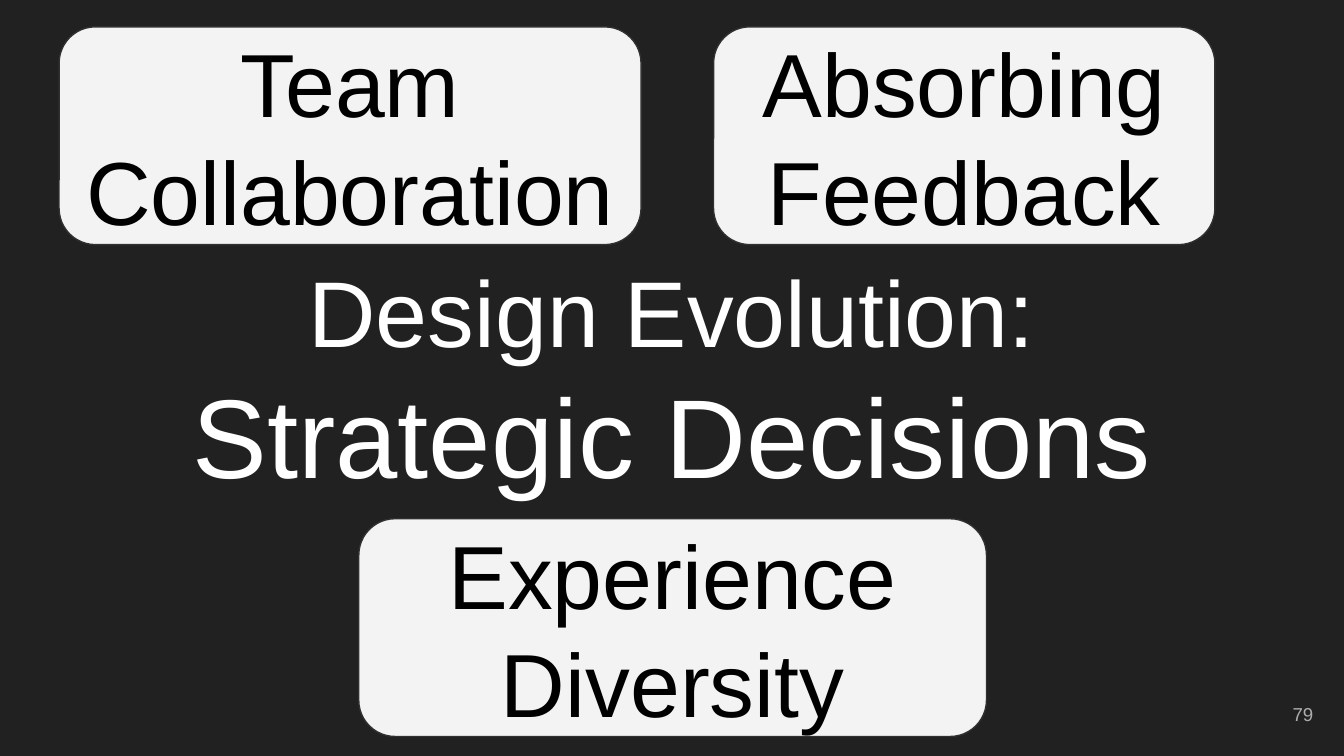
"""Build the slide on strategic decisions in design evolution."""
from pptx import Presentation
from pptx.dml.color import RGBColor
from pptx.enum import shapes, text
from pptx.util import Inches, Pt

HUES = {"back": "212121", "card": "F3F3F3", "edge": "303030",
        "ink": "000000", "light": "FFFFFF", "page": "ADADAD"}
TITLE = [("Design Evolution:", 50), ("Strategic Decisions", 60)]
CARDS = [("Team Collaboration", 0.44, 0.2, 4.33),
         ("Absorbing Feedback", 5.31, 0.2, 3.73),
         ("Experience Diversity", 2.67, 3.86, 4.67)]
PAGE = "79"
WIDE, TALL = 10, 1.62


def hue(name):
    return RGBColor.from_string(HUES[name])


def write(shape, lines, color="ink", align=text.PP_ALIGN.CENTER):
    frame = shape.text_frame
    frame.word_wrap = True
    frame.auto_size = text.MSO_AUTO_SIZE.NONE
    frame.vertical_anchor = text.MSO_ANCHOR.MIDDLE
    frame.margin_left = frame.margin_right = Inches(0.1)
    frame.margin_top = frame.margin_bottom = Inches(0.1)
    for i, (words, size) in enumerate(lines):
        para = frame.add_paragraph() if i else frame.paragraphs[0]
        para.alignment = align
        para.line_spacing = 1.0
        para.space_before = para.space_after = Pt(0)
        run = para.add_run()
        run.text = words
        run.font.name = "Arial"
        run.font.size = Pt(size)
        run.font.color.rgb = hue(color)


def main():
    deck = Presentation()
    deck.slide_width = Inches(WIDE)
    deck.slide_height = Inches(WIDE * 9 / 16)
    slide = deck.slides.add_slide(deck.slide_layouts[5])
    slide.background.fill.solid()
    slide.background.fill.fore_color.rgb = hue("back")

    title = slide.shapes.title
    title.left, title.top = Inches(0.34), Inches(2)
    title.width, title.height = Inches(9.32), Inches(TALL)
    write(title, TITLE, color="light")

    for words, left, top, wide in CARDS:
        card = slide.shapes.add_shape(
            shapes.MSO_SHAPE.ROUNDED_RECTANGLE,
            Inches(left), Inches(top), Inches(wide), Inches(TALL))
        card.shadow.inherit = False
        card.fill.solid()
        card.fill.fore_color.rgb = hue("card")
        card.line.color.rgb = hue("edge")
        card.line.width = Pt(0.75)
        write(card, [(words, 48)])

    page = slide.shapes.add_textbox(
        Inches(9.27), Inches(5.1), Inches(0.6), Inches(0.43))
    write(page, [(PAGE, 10)], color="page", align=text.PP_ALIGN.RIGHT)
    deck.save("out.pptx")


if __name__ == "__main__":
    main()
